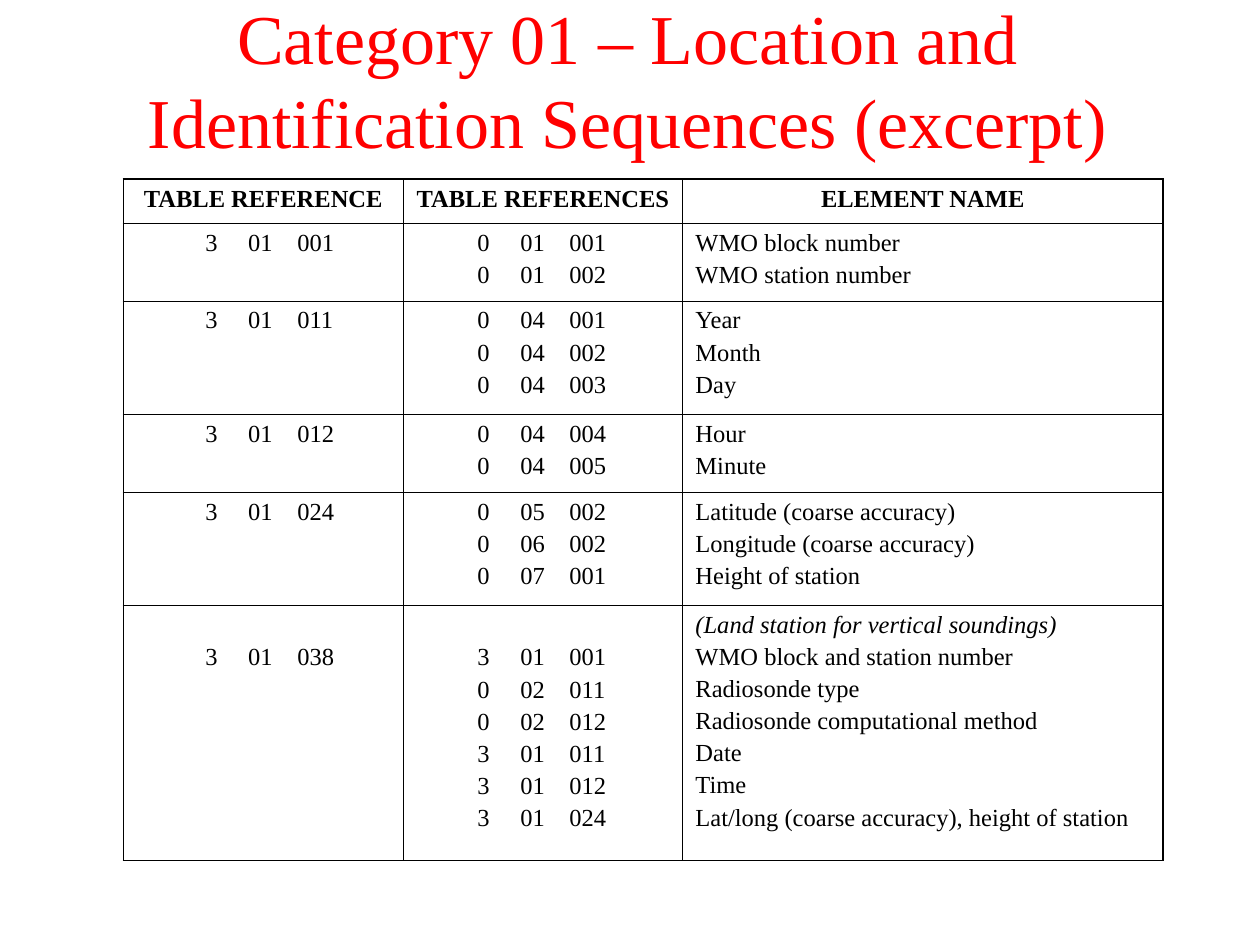
from dataclasses import dataclass

from lxml.etree import SubElement
from pptx import Presentation
from pptx.dml.color import RGBColor
from pptx.enum.text import MSO_ANCHOR, PP_ALIGN
from pptx.oxml.ns import qn
from pptx.util import Inches, Pt


@dataclass(frozen=True)
class Theme:
    """Colours, type sizes and line widths of the slide."""
    font: str = "Times New Roman"
    title: str = "FF0000"
    ink: str = "000000"
    title_size: float = 40
    body_size: float = 14
    space_before: float = 2.9
    outer_line: float = 1.08
    inner_line: float = 0.45


THEME = Theme()
TITLE = "Category 01 – Location and Identification Sequences (excerpt)"
HEADERS = ["TABLE REFERENCE", "TABLE REFERENCES", "ELEMENT NAME"]
COL_WIDTHS = [2.22, 2.22, 3.81]
ROW_HEIGHTS = [0.35, 0.62, 0.9, 0.62, 0.9, 2.03]
CODE_INSETS = [0.65, 0.59]
CODE_TABS = [0.34, 0.73]
LINE_PITCH = 0.26
SEQUENCES = [
    ("3 01 001", "", [("0 01 001", "WMO block number"),
                      ("0 01 002", "WMO station number")]),
    ("3 01 011", "", [("0 04 001", "Year"),
                      ("0 04 002", "Month"),
                      ("0 04 003", "Day")]),
    ("3 01 012", "", [("0 04 004", "Hour"),
                      ("0 04 005", "Minute")]),
    ("3 01 024", "", [("0 05 002", "Latitude (coarse accuracy)"),
                      ("0 06 002", "Longitude (coarse accuracy)"),
                      ("0 07 001", "Height of station")]),
    ("3 01 038", "(Land station for vertical soundings)",
     [("3 01 001", "WMO block and station number"),
      ("0 02 011", "Radiosonde type"),
      ("0 02 012", "Radiosonde computational method"),
      ("3 01 011", "Date"),
      ("3 01 012", "Time"),
      ("3 01 024", "Lat/long (coarse accuracy), height of station")]),
]


def apply(obj, values):
    """Set each named attribute of an object."""
    for name, value in values.items():
        setattr(obj, name, value)


def write(p, text, size, color, align=PP_ALIGN.LEFT, **font):
    """Write one formatted run in a paragraph."""
    p.alignment = align
    r = p.add_run()
    r.text = text
    apply(r.font, {"name": THEME.font, "size": Pt(size), **font})
    r.font.color.rgb = RGBColor.from_string(color)


def fill_cell(cell, lines, align=PP_ALIGN.LEFT, **font):
    """Write one paragraph per line in a table cell."""
    tf = cell.text_frame
    for i, line in enumerate(lines):
        p = tf.add_paragraph() if i else tf.paragraphs[0]
        p.space_before = Pt(THEME.space_before)
        write(p, line, THEME.body_size, THEME.ink, align, **font)


def fill_codes(cell, codes, inset, skip):
    """Write descriptor codes on tab stops, below an optional caption line."""
    fill_cell(cell, [code.replace(" ", "\t") for code in codes])
    cell.margin_left = Inches(inset)
    if skip:
        cell.margin_top = Inches(0.05 + LINE_PITCH)
    for p in cell.text_frame.paragraphs:
        tabs = SubElement(p._p.get_or_add_pPr(), qn("a:tabLst"))
        for pos in CODE_TABS:
            SubElement(tabs, qn("a:tab"), pos=str(Inches(pos)), algn="l")


def border_cell(cell, outer):
    """Rule the four sides of a cell, heavier on the outer edges."""
    tcPr = cell._tc.get_or_add_tcPr()
    for side in "LRTB":
        width = THEME.outer_line if side in outer else THEME.inner_line
        ln = SubElement(tcPr, qn(f"a:ln{side}"), w=str(Pt(width)))
        SubElement(SubElement(ln, qn("a:solidFill")), qn("a:srgbClr"), val=THEME.ink)
    cell.fill.background()


def add_title(s, x, y, w, h):
    """Place the slide title in its box."""
    tf = s.shapes.add_textbox(x, y, w, h).text_frame
    apply(tf, {"word_wrap": True, "vertical_anchor": MSO_ANCHOR.MIDDLE})
    write(tf.paragraphs[0], TITLE, THEME.title_size, THEME.title, PP_ALIGN.CENTER)


def add_sequence_table(s, x, y, w, h):
    """Place the ruled table of sequences in its box."""
    n_rows, n_cols = len(ROW_HEIGHTS), len(COL_WIDTHS)
    table = s.shapes.add_table(n_rows, n_cols, x, y, w, h).table
    apply(table, {"first_row": False, "horz_banding": False})
    for col, share in zip(table.columns, COL_WIDTHS):
        col.width = int(w * share / sum(COL_WIDTHS))
    for row, share in zip(table.rows, ROW_HEIGHTS):
        row.height = int(h * share / sum(ROW_HEIGHTS))
    for c, header in enumerate(HEADERS):
        fill_cell(table.cell(0, c), [header], PP_ALIGN.CENTER, bold=True)
    for r, (reference, caption, elements) in enumerate(SEQUENCES, 1):
        codes, names = zip(*elements)
        for c, column in enumerate([[reference], codes]):
            fill_codes(table.cell(r, c), column, CODE_INSETS[c], caption)
        name_cell = table.cell(r, 2)
        fill_cell(name_cell, [caption, *names] if caption else names)
        if caption:
            name_cell.text_frame.paragraphs[0].runs[0].font.italic = True
    for r in range(n_rows):
        for c in range(n_cols):
            edges = {"L": c == 0, "R": c == n_cols - 1, "T": r == 0, "B": r == n_rows - 1}
            border_cell(table.cell(r, c), [side for side, on in edges.items() if on])


def main():
    """Build the slide and save it."""
    prs = Presentation()
    apply(prs, {"slide_width": Inches(10), "slide_height": Inches(7.5)})
    s = prs.slides.add_slide(prs.slide_layouts[6])
    add_title(s, Inches(0.73), Inches(0), Inches(8.5), Inches(1.25))
    add_sequence_table(s, Inches(0.98), Inches(1.42), Inches(8.25), Inches(5.41))
    prs.save("out.pptx")


if __name__ == "__main__":
    main()
